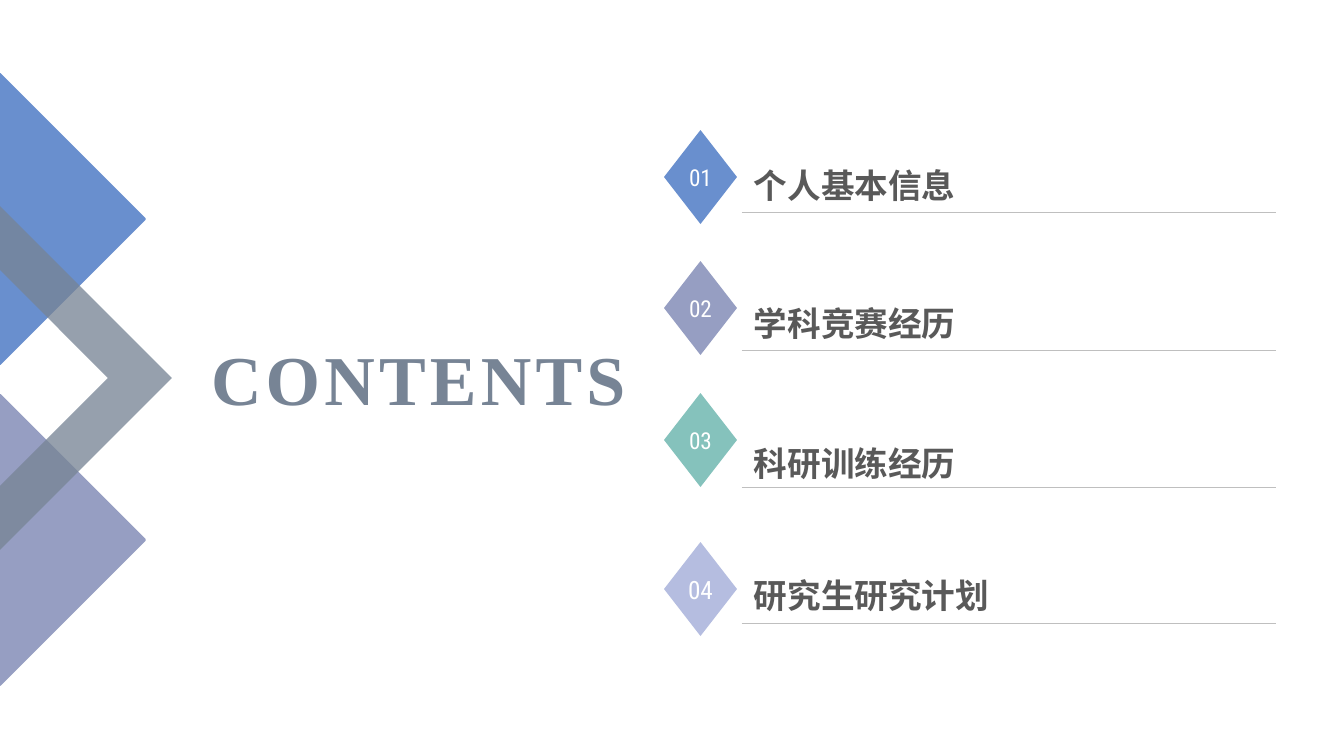
from lxml import etree
from pptx import Presentation
from pptx import util as u
from pptx.dml.color import RGBColor
from pptx.enum import shapes as s, text as t
from pptx.oxml.ns import qn

PX = 9071.43
BLUE = RGBColor(0x69, 0x8F, 0xCE)
PURPLE = RGBColor(0x96, 0x9E, 0xC2)
GREEN = RGBColor(0x85, 0xC2, 0xBC)
LILAC = RGBColor(0xB5, 0xBD, 0xE0)
SLATE = RGBColor(0x77, 0x84, 0x95)
DARK = RGBColor(0x59, 0x59, 0x59)
GREY = RGBColor(0xBF, 0xBF, 0xBF)
WHITE = RGBColor(0xFF, 0xFF, 0xFF)


def px(*nums):
    return [u.Emu(round(n * PX)) for n in nums]


def write(frame, words, font, size, color, bold=False):
    run = frame.paragraphs[0].add_run()
    run.text = words
    run.font.name = font
    run.font.size = u.Pt(size)
    run.font.bold = bold
    run.font.color.rgb = color
    props = run.font._element
    etree.SubElement(props, qn("a:ea")).set("typeface", font)
    return props


deck = Presentation()
deck.slide_width, deck.slide_height = px(1344, 756)
slide = deck.slides.add_slide(deck.slide_layouts[5])
tree = slide.shapes

title = tree.title
title.left, title.top, title.width, title.height = px(192, 327, 444, 102)
frame = title.text_frame
frame.auto_size = t.MSO_AUTO_SIZE.NONE
frame.vertical_anchor = t.MSO_ANCHOR.MIDDLE
frame.paragraphs[0].alignment = t.PP_ALIGN.RIGHT
write(frame, "CONTENTS", "Times New Roman", 50, SLATE, True).set("spc", "300")

arrows = [
    (PURPLE, [(0, 395), (145, 540), (0, 685)]),
    (BLUE, [(0, 74), (145, 219), (0, 364)]),
    (SLATE, [(172, 378), (0, 550), (0, 486), (108, 378), (0, 270), (0, 206)]),
]
for color, points in arrows:
    pen = tree.build_freeform(*points[0], scale=PX)
    pen.add_line_segments(points[1:], close=True)
    arrow = pen.convert_to_shape()
    arrow.shadow.inherit = False
    arrow.fill.solid()
    arrow.fill.fore_color.rgb = color
    if color == SLATE:
        arrow.line.fill.background()
        tint = arrow.fill._xPr.find(qn("a:solidFill"))[0]
        etree.SubElement(tint, qn("a:alpha")).set("val", "77000")
    else:
        arrow.line.color.rgb = color
        arrow.line.width = u.Pt(1.5)

items = [
    ("01", "个人基本信息", BLUE, 16.6, 130, 210, 212),
    ("02", "学科竞赛经历", PURPLE, 16.6, 261, 348, 350),
    ("03", "科研训练经历", GREEN, 16.6, 393, 488, 487),
    ("04", "研究生研究计划", LILAC, 18, 542, 620, 623),
]
for number, topic, color, size, top, base, rule in items:
    gem = tree.add_shape(s.MSO_SHAPE.DIAMOND, *px(664, top, 73, 94))
    gem.shadow.inherit = False
    gem.fill.solid()
    gem.fill.fore_color.rgb = color
    gem.line.fill.background()
    frame = gem.text_frame
    frame.word_wrap = False
    frame.vertical_anchor = t.MSO_ANCHOR.MIDDLE
    frame.paragraphs[0].alignment = t.PP_ALIGN.CENTER
    write(frame, number, "Roboto Condensed", size, WHITE)

    label = tree.add_textbox(*px(737, base - 46, 463, 46))
    frame = label.text_frame
    frame.word_wrap = True
    frame.margin_left = px(17)[0]
    frame.vertical_anchor = t.MSO_ANCHOR.BOTTOM
    write(frame, topic, "Noto Sans CJK SC", 24, DARK, True)

    line = tree.add_connector(s.MSO_CONNECTOR.STRAIGHT, *px(742, rule, 1276, rule))
    line.line.color.rgb = GREY
    line.line.width = u.Pt(0.25)
    etree.SubElement(line._element.spPr, qn("a:effectLst"))

deck.save("out.pptx")
